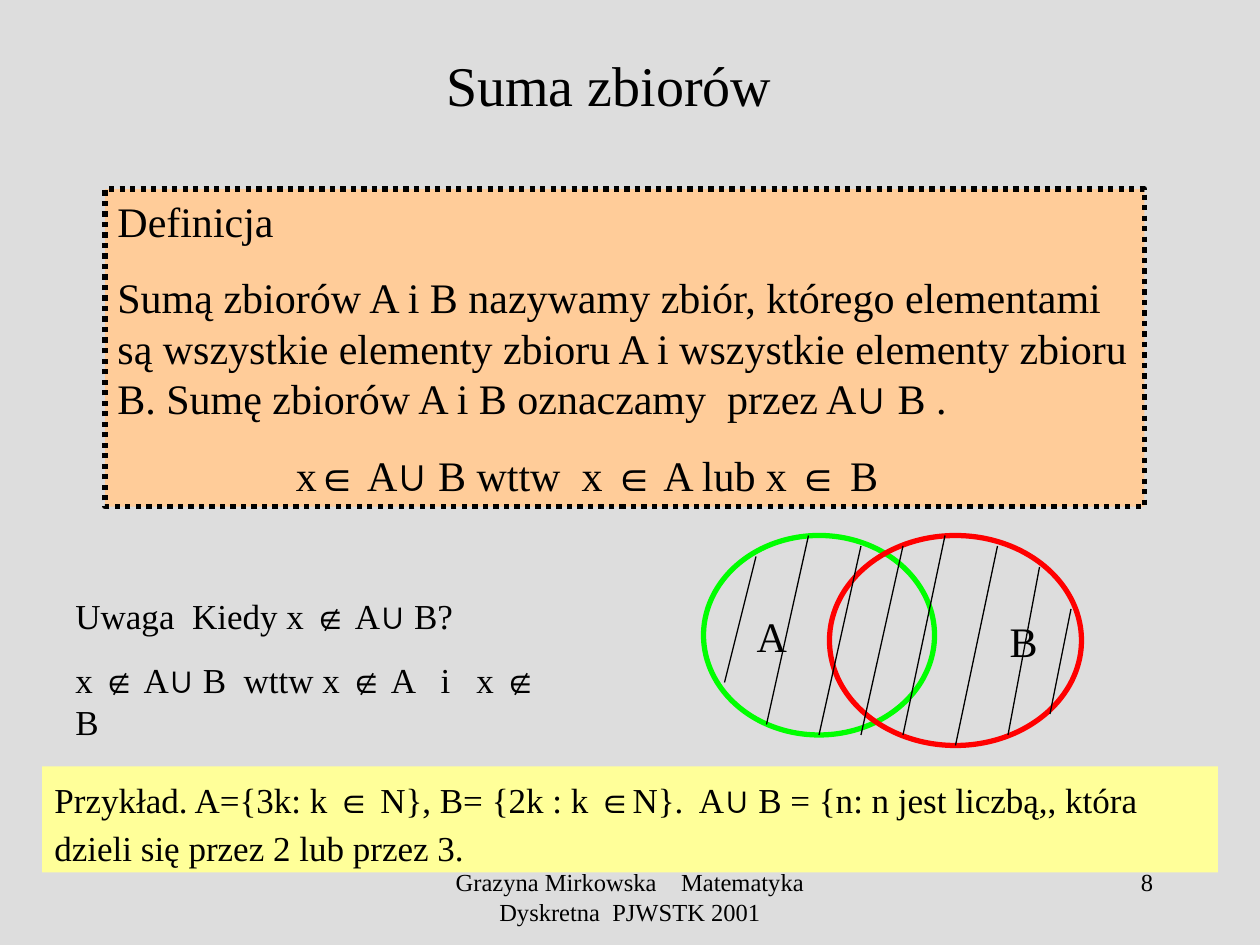
import itertools

import pptx
import pptx.dml.color
import pptx.enum.dml
import pptx.enum.shapes
import pptx.enum.text
import pptx.oxml.ns
import pptx.util
from lxml import etree

Pt = pptx.util.Pt
ALIGN = pptx.enum.text.PP_ALIGN
ANCHOR = pptx.enum.text.MSO_ANCHOR
SHAPE = pptx.enum.shapes.MSO_SHAPE
SIGNS = "∪∈∉"


def color(code):
    return pptx.dml.color.RGBColor.from_string(code)


def write(shape, *lines, size=24, align=ALIGN.LEFT, anchor=ANCHOR.TOP, gap=0,
          spacing=None, left=7.2, right=7.2, wrap=True):
    """Fill a shape with paragraphs, setting the set signs in Arial."""
    frame = shape.text_frame
    frame.word_wrap = wrap
    frame.vertical_anchor = anchor
    frame.margin_left, frame.margin_right = Pt(left), Pt(right)
    frame.margin_top = frame.margin_bottom = Pt(3.6)
    for i, line in enumerate(lines):
        para = frame.add_paragraph() if i else frame.paragraphs[0]
        para.alignment = align
        para.space_before = Pt(gap if i else 0)
        para.line_spacing = spacing
        for sign, part in itertools.groupby(line, lambda c: c in SIGNS):
            run = para.add_run()
            run.text = "".join(part)
            run.font.name = "Arial" if sign else "Times New Roman"
            run.font.size = Pt(size)
            run.font.color.rgb = color("000000")


def label(slide, box, *lines, **form):
    write(slide.shapes.add_textbox(*map(Pt, box)), *lines, **form)


def draw(slide, kind, box, fill=None, line=None):
    shape = slide.shapes.add_shape(kind, *map(Pt, box))
    shape.shadow.inherit = False
    if fill:
        shape.fill.solid()
        shape.fill.fore_color.rgb = color(fill)
    else:
        shape.fill.background()
    if line:
        shape.line.color.rgb = color(line)
        shape.line.width = Pt(3)
    else:
        shape.line.fill.background()
    return shape


def stroke(slide, start, end):
    line = slide.shapes.add_connector(
        pptx.enum.shapes.MSO_CONNECTOR.STRAIGHT, *map(Pt, start + end))
    line.line.color.rgb = color("000000")
    line.line.width = Pt(0.75)
    etree.SubElement(line._element.spPr, pptx.oxml.ns.qn("a:effectLst"))


def title(slide, box):
    head = slide.shapes.title
    head.left, head.top, head.width, head.height = map(Pt, box)
    write(head, "Suma zbiorów", size=32, align=ALIGN.CENTER,
          anchor=ANCHOR.MIDDLE)


def definition(slide, box):
    frame = draw(slide, SHAPE.RECTANGLE, box, "FFCC99", "000000")
    frame.line.dash_style = pptx.enum.dml.MSO_LINE.ROUND_DOT
    write(frame, "Definicja",
          "Sumą zbiorów A i B nazywamy zbiór, którego elementami są wszystkie "
          "elementy zbioru A i wszystkie elementy zbioru B. Sumę zbiorów A i B "
          "oznaczamy  przez A∪ B .",
          "x∈ A∪ B wttw  x ∈ A lub x ∈ B", gap=15)
    rule = frame.text_frame.paragraphs[-1]._p.get_or_add_pPr()
    rule.set("marL", str(Pt(102)))
    rule.set("indent", "0")


def remark(slide, box):
    label(slide, box, "Uwaga  Kiedy x ∉ A∪ B?",
          "x ∉ A∪ B  wttw x ∉ A   i   x ∉ B", size=20, gap=12.5)


def example(slide, box):
    write(draw(slide, SHAPE.RECTANGLE, box, "FFFF99"),
          "Przykład. A={3k: k ∈ N}, B= {2k : k ∈N}.  A∪ B = "
          "{n: n jest liczbą,, która dzieli się przez 2 lub przez 3.",
          size=20, spacing=1.14)


def venn(slide, box):
    """Draw two overlapping sets, both hatched."""
    x, y, wide, high = box
    form = dict(align=ALIGN.CENTER, anchor=ANCHOR.MIDDLE, wrap=False)
    first = draw(slide, SHAPE.OVAL, (x, y, 132, high - 6), line="00FF00")
    write(first, "A", right=61, **form)
    second = draw(slide, SHAPE.OVAL, (x + wide - 144, y, 144, high),
                  line="FF0000")
    write(second, "B", left=85, **form)
    hatch = [(30, 12, 12, 84), (60, 0, 36, 108), (90, 6, 66, 114),
             (114, 6, 90, 114), (138, 0, 114, 114), (168, 6, 144, 120),
             (192, 18, 174, 114), (210, 42, 198, 102)]
    for x1, y1, x2, y2 in hatch:
        stroke(slide, (x + x1, y + y1), (x + x2, y + y2))


def footer(slide, box):
    x, y, wide, high = box
    label(slide, (x, y, 228, high),
          "Grazyna Mirkowska    Matematyka Dyskretna  PJWSTK 2001",
          size=14, align=ALIGN.CENTER)
    label(slide, (x + wide - 150, y, 150, high), "8", size=14,
          align=ALIGN.RIGHT)


def main():
    deck = pptx.Presentation()
    deck.slide_width, deck.slide_height = Pt(720), Pt(540)
    slide = deck.slides.add_slide(deck.slide_layouts[5])
    slide.background.fill.solid()
    slide.background.fill.fore_color.rgb = color("DDDDDD")
    title(slide, (42, 18, 612, 60))
    definition(slide, (60, 108, 594, 181.5))
    remark(slide, (36, 336, 294, 68))
    example(slide, (24, 438, 672, 60.5))
    venn(slide, (402, 306, 216, 120))
    footer(slide, (246, 492, 420, 36))
    deck.save("out.pptx")


if __name__ == "__main__":
    main()
